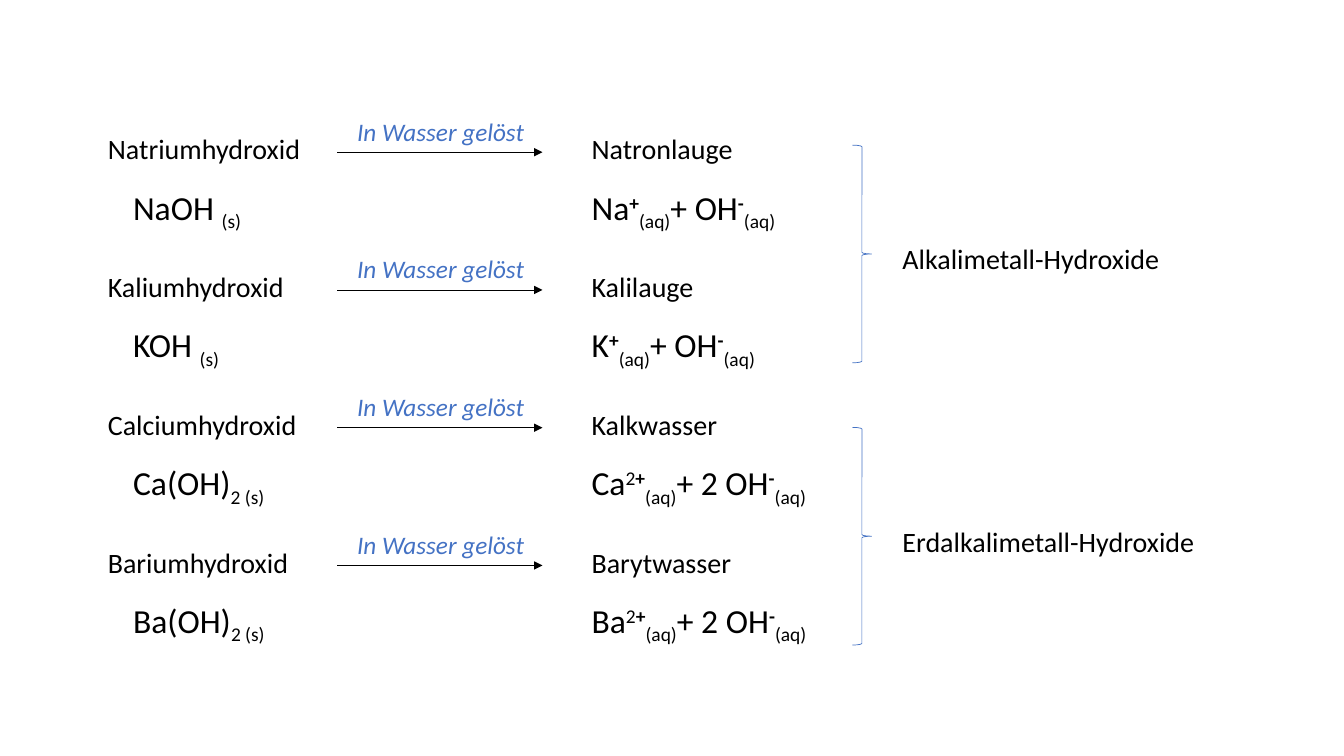
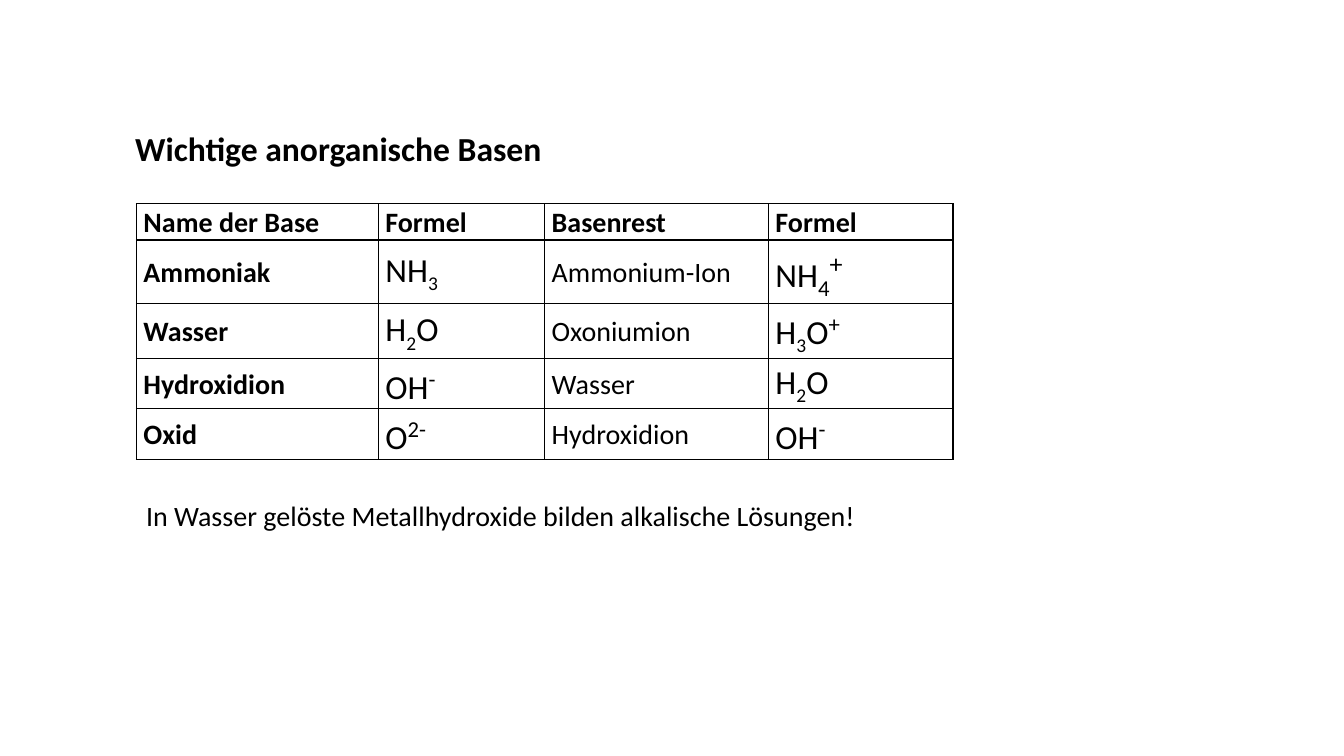
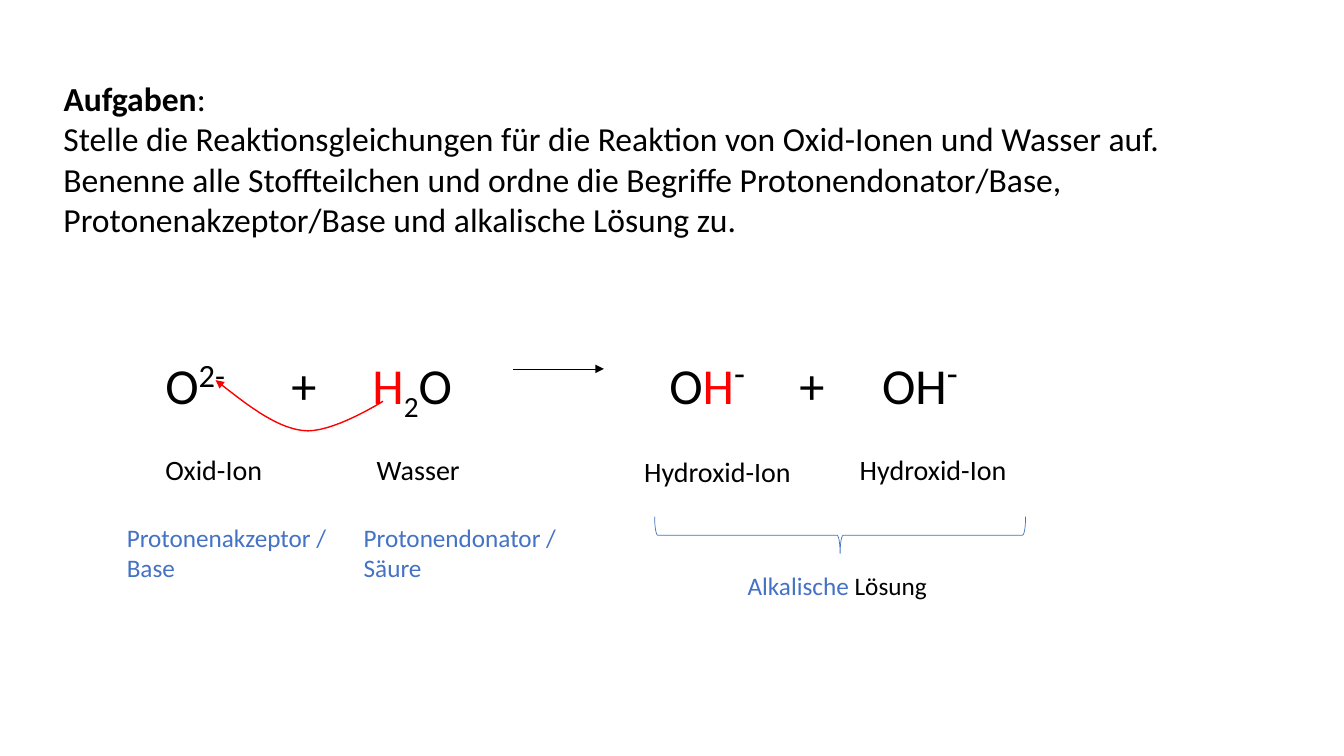
from dataclasses import dataclass

from lxml.etree import SubElement
from pptx import Presentation
from pptx.dml.color import RGBColor
from pptx.enum.shapes import MSO_CONNECTOR, MSO_SHAPE
from pptx.enum.text import MSO_ANCHOR, MSO_AUTO_SIZE, PP_ALIGN
from pptx.oxml.ns import qn
from pptx.util import Pt


@dataclass(frozen=True)
class Theme:
    font: str = "Calibri"
    black: RGBColor = RGBColor(0, 0, 0)
    blue: RGBColor = RGBColor(0x44, 0x72, 0xC4)
    red: RGBColor = RGBColor(0xFF, 0, 0)
    note: int = 18
    body: int = 20
    formula: int = 24
    equation: int = 36
    thin: float = 0.5


T = Theme()
SUB = {"base": -25}
SUP = {"base": 30}
CHARGE = {"base": 30, "bold": True}


def add_runs(p, parts, size, color=T.black, bold=False, italic=False):
    """Add runs; a part is plain text or (text, style changes)."""
    for part in parts:
        text, change = (part, {}) if isinstance(part, str) else part
        style = {"size": size, "color": color, "bold": bold, "base": 0} | change
        r = p.add_run()
        r.text = text
        r.font.name = T.font
        r.font.size = Pt(style["size"])
        r.font.color.rgb = style["color"]
        r.font.bold = style["bold"]
        r.font.italic = italic
        if style["base"]:
            r._r.get_or_add_rPr().set("baseline", str(style["base"] * 1000))


def add_text(s, box, parts, size, title=False, **style):
    """Put one paragraph in a text box, or in the slide's title."""
    sp = s.shapes.title if title else s.shapes.add_textbox(0, 0, 0, 0)
    sp.left, sp.top, sp.width, sp.height = map(Pt, box)
    tf = sp.text_frame
    tf.word_wrap = True
    tf.auto_size = MSO_AUTO_SIZE.SHAPE_TO_FIT_TEXT
    tf.vertical_anchor = MSO_ANCHOR.TOP
    p = tf.paragraphs[0]
    p.alignment = PP_ALIGN.LEFT
    p.line_spacing = 1.0
    p.space_before = Pt(0)
    add_runs(p, parts, size, **style)
    return p


prs = Presentation()
prs.slide_width, prs.slide_height = Pt(960), Pt(540)
title_only, blank = prs.slide_layouts[5], prs.slide_layouts[6]
arrows = []  # slide, x start, x end, y
braces = []  # slide, left, top, width, height, rotation

# Slide 1: hydroxides and their solutions
s = prs.slides.add_slide(blank)
hydroxides = [
    ("Natriumhydroxid", ["NaOH ", ("(s)", SUB)], "Natronlauge",
     ["Na", ("+", CHARGE), ("(aq)", SUB), "+ OH"]),
    ("Kaliumhydroxid", ["KOH ", ("(s)", SUB)], "Kalilauge",
     ["K", ("+", CHARGE), ("(aq)", SUB), "+ OH"]),
    ("Calciumhydroxid", ["Ca(OH)", ("2 (s)", SUB)], "Kalkwasser",
     ["Ca", ("2", SUP), ("+", CHARGE), ("(aq)", SUB), "+ 2 OH"]),
    ("Bariumhydroxid", ["Ba(OH)", ("2 (s)", SUB)], "Barytwasser",
     ["Ba", ("2", SUP), ("+", CHARGE), ("(aq)", SUB), "+ 2 OH"]),
]
for i, (name, formula, solution, ions) in enumerate(hydroxides):
    y = 108.7 + i * 98.4
    add_text(s, (70, y - 18, 153, 31.5), [name], T.body)
    add_text(s, (88, y + 21, 144, 36), formula, T.formula)
    add_text(s, (248, y - 29.5, 153, 29), ["In Wasser gelöst"], T.note,
             color=T.blue, italic=True)
    add_text(s, (415.5, y - 18, 130, 31.5), [solution], T.body)
    add_text(s, (415.5, y + 21, 224, 36),
             ions + [("-", CHARGE), ("(aq)", SUB)], T.formula)
    arrows.append((s, 241, 387.5, y))

for i, group in enumerate(["Alkalimetall-Hydroxide", "Erdalkalimetall-Hydroxide"]):
    top = 103.7 + i * 201.6
    braces.append((s, 608.8, top, 13.7, 155.5, 0))
    add_text(s, (637.5, top + 65.5, 267, 31.5), [group], T.body)

# Slide 2: table of bases
s = prs.slides.add_slide(title_only)
add_text(s, (89.3, 88, 572, 36), ["Wichtige anorganische Basen"], T.formula,
         title=True, bold=True)
rows = [
    (["Name der Base"], ["Formel"], ["Basenrest"], ["Formel"]),
    (["Ammoniak"], ["NH", ("3", SUB)], ["Ammonium-Ion"],
     ["NH", ("4", SUB | {"size": 28}), ("+", SUP | {"size": 32})]),
    (["Wasser"], ["H", ("2", SUB), "O"], ["Oxoniumion"],
     ["H", ("3", SUB), "O", ("+", SUP | {"size": 28})]),
    (["Hydroxidion"], ["OH", ("-", SUP | {"size": 28})], ["Wasser"],
     ["H", ("2", SUB), "O"]),
    (["Oxid"], ["O", ("2-", SUP | {"size": 28})], ["Hydroxidion"],
     ["OH", ("-", SUP | {"size": 28})]),
]
widths = [172.8, 118.8, 159.8, 131.8]
heights = [26, 44.5, 39, 36, 36]
table = s.shapes.add_table(len(rows), len(widths), Pt(97.5), Pt(145.5),
                           Pt(sum(widths)), Pt(sum(heights))).table
table.first_row = table.horz_banding = False
for col, width in zip(table.columns, widths):
    col.width = Pt(width)
for i, (row, height) in enumerate(zip(rows, heights)):
    table.rows[i].height = Pt(height)
    for j, parts in enumerate(row):
        cell = table.cell(i, j)
        cell.vertical_anchor = MSO_ANCHOR.MIDDLE
        cell.margin_left = cell.margin_right = Pt(5)
        cell.margin_top = cell.margin_bottom = 0
        p = cell.text_frame.paragraphs[0]
        p.line_spacing = 1.07
        p.space_after = Pt(8)
        is_formula = i > 0 and j in (1, 3)
        add_runs(p, parts, T.formula if is_formula else T.body,
                 bold=i == 0 or j == 0)
        # Borders come before the fill in the cell properties
        tc_pr = cell._tc.get_or_add_tcPr()
        for side in ("lnL", "lnR", "lnT", "lnB"):
            ln = SubElement(tc_pr, qn("a:" + side), w=str(Pt(1)))
            color = SubElement(SubElement(ln, qn("a:solidFill")), qn("a:srgbClr"))
            color.set("val", str(T.black))
        cell.fill.background()
add_text(s, (97.2, 352.8, 638, 31.5),
         ["In Wasser gelöste Metallhydroxide bilden alkalische Lösungen!"], T.body)

# Slide 3: task and reaction equation
s = prs.slides.add_slide(title_only)
add_text(s, (38.2, 51.8, 830, 36), [("Aufgaben", {"bold": True}), ":"],
         T.formula, title=True)
add_text(s, (38.2, 81, 830, 94),
         ["Stelle die Reaktionsgleichungen für die Reaktion von Oxid-Ionen und "
          "Wasser auf. Benenne alle Stoffteilchen und ordne die Begriffe "
          "Protonendonator/Base, Protonenakzeptor/Base und alkalische Lösung zu."],
         T.formula)

p = add_text(s, (111, 237.6, 598, 52),
             ["O", ("2-", SUP | {"size": 40}), "\t+\t", ("H", {"color": T.red}),
              ("2", SUB), "O\tO", ("H", {"color": T.red}),
              ("-", SUP | {"size": 44}), "\t+\tOH", ("-", SUP | {"size": 44})],
             T.equation)
p.line_spacing = 1.07
p.space_after = Pt(8)
tabs = SubElement(p._p.get_or_add_pPr(), qn("a:tabLst"))
for stop in (90, 148, 360, 453, 512):
    SubElement(tabs, qn("a:tab"), pos=str(Pt(stop)), algn="l")
arrows.append((s, 366.5, 431.3, 263.5))

# Proton transfer: two Bezier arcs, drawn from the oxide ion to the water
arcs = [
    [(154, 271.5), (175, 288), (196, 305), (216, 307.5)],
    [(216, 307.5), (236, 310.5), (273.6, 286.6), (273.6, 286.6)],
]
steps = 16
points = []
for arc in arcs:
    for n in range(1, steps + 1):
        t = n / steps
        weights = ((1 - t) ** 3, 3 * t * (1 - t) ** 2, 3 * t ** 2 * (1 - t), t ** 3)
        points.append(tuple(Pt(sum(w * pt[axis] for w, pt in zip(weights, arc)))
                            for axis in (0, 1)))
start_x, start_y = arcs[0][0]
builder = s.shapes.build_freeform(Pt(start_x), Pt(start_y))
builder.add_line_segments(points, close=False)
sp = builder.convert_to_shape()
sp.shadow.inherit = False
sp.fill.background()
sp.line.color.rgb = T.red
sp.line.width = Pt(1)
SubElement(sp.line._get_or_add_ln(), qn("a:headEnd"), type="triangle")

# Names and roles below the equation
for x, y, width, name in [(111, 319.7, 91.5, "Oxid-Ion"), (262, 319.7, 91.5, "Wasser"),
                          (453, 321, 129, "Hydroxid-Ion"),
                          (607, 319.7, 129, "Hydroxid-Ion")]:
    add_text(s, (x, y, width, 31.5), [name], T.body)
for x, role in [(83.5, "Protonenakzeptor / Base"), (252.7, "Protonendonator / Säure")]:
    add_text(s, (x, 369.7, 160, 51), [role], T.note, color=T.blue)
braces.append((s, 586.8, 249.8, 26.6, 265, 90))
add_text(s, (527, 404, 160, 29), [("Alkalische", {"color": T.blue}), " Lösung"], T.note)

# Reaction arrows of all slides
for s, x1, x2, y in arrows:
    line = s.shapes.add_connector(MSO_CONNECTOR.STRAIGHT, Pt(x1), Pt(y), Pt(x2), Pt(y))
    line.line.color.rgb = T.black
    line.line.width = Pt(T.thin)
    SubElement(line.line._get_or_add_ln(), qn("a:tailEnd"), type="triangle")
    SubElement(line._element.spPr, qn("a:effectLst"))

# Braces of all slides
for s, left, top, width, height, rotation in braces:
    sp = s.shapes.add_shape(MSO_SHAPE.RIGHT_BRACE, Pt(left), Pt(top),
                            Pt(width), Pt(height))
    sp.rotation = rotation
    sp.shadow.inherit = False
    sp.fill.background()
    sp.line.color.rgb = T.blue
    sp.line.width = Pt(T.thin)

prs.save("out.pptx")
